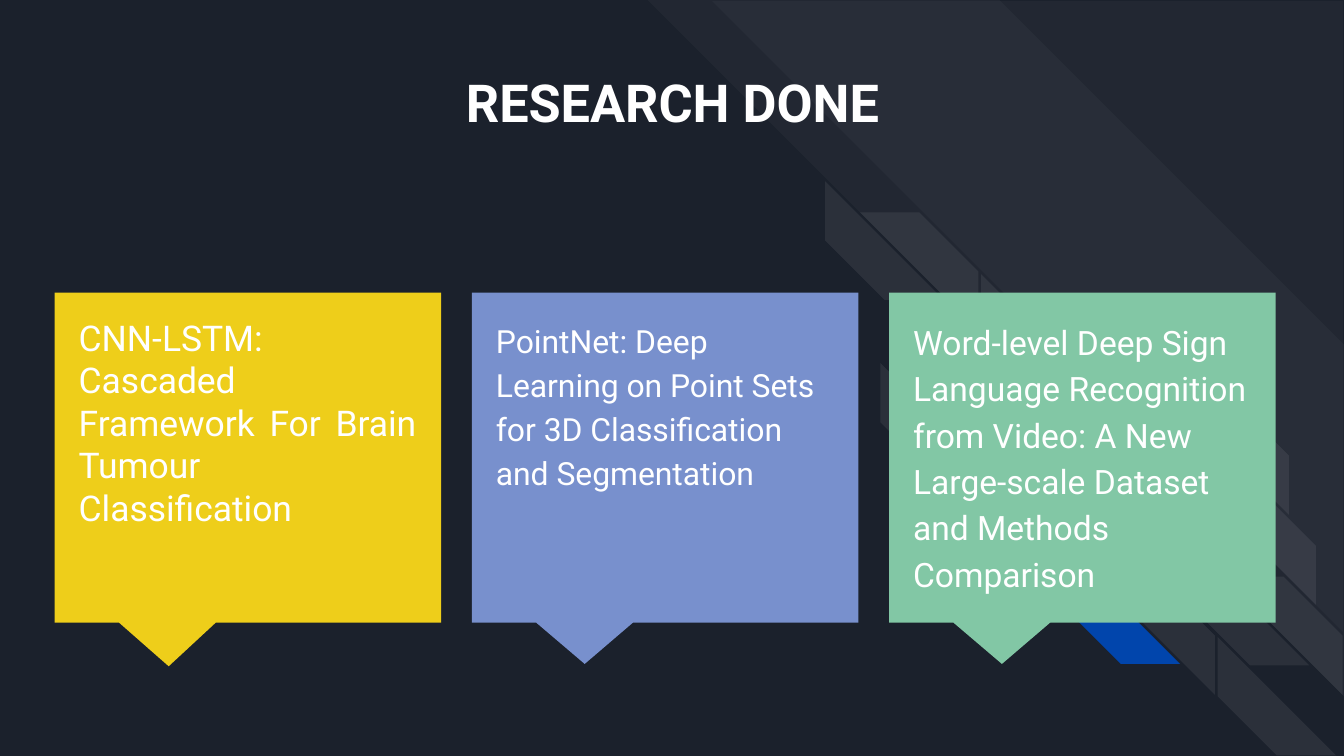
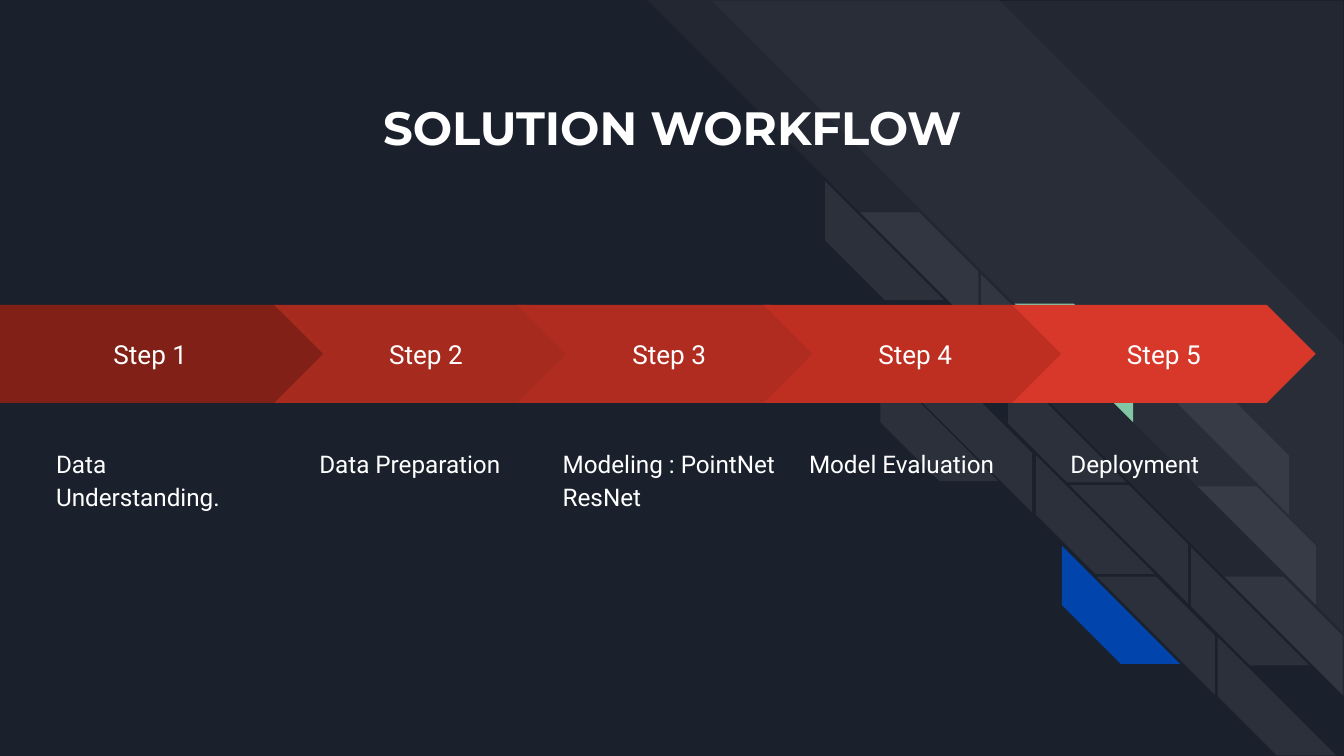
from lxml import etree
from pptx import Presentation
from pptx import util as u
from pptx.dml import color
from pptx.enum import shapes, text
from pptx.oxml import ns

Pt = u.Pt
WHITE, NAVY, GREEN, BLUE = "FFFFFF", "1B212C", "82C7A5", "0145AC"
LEFT, CENTER, JUSTIFY = text.PP_ALIGN.LEFT, text.PP_ALIGN.CENTER, text.PP_ALIGN.JUSTIFY
TOP, MIDDLE = text.MSO_ANCHOR.TOP, text.MSO_ANCHOR.MIDDLE
rgb = color.RGBColor.from_string


def add_block(page, kind, place, fill, adjust, opacity=100):
    """Add a borderless preset shape, opacity in percent."""
    block = page.shapes.add_shape(kind, *[Pt(n) for n in place])
    block.shadow.inherit = False
    block.line.fill.background()
    block.fill.solid()
    block.fill.fore_color.rgb = rgb(fill)
    for index, value in enumerate(adjust):
        block.adjustments[index] = value
    if opacity < 100:
        tint = block.element.find(".//" + ns.qn("a:srgbClr"))
        etree.SubElement(tint, ns.qn("a:alpha"), val=str(opacity * 1000))
    return block


def write(box, lines, size, font="Roboto", bold=False, align=LEFT, anchor=TOP,
          spacing=1.0, before=0):
    """Fill a shape's text frame, one paragraph per line."""
    frame = box.text_frame
    frame.word_wrap = True
    frame.auto_size = text.MSO_AUTO_SIZE.NONE
    frame.vertical_anchor = anchor
    frame.margin_left = frame.margin_right = Pt(7.2)
    frame.margin_top = frame.margin_bottom = Pt(7.2)
    for index, line in enumerate(lines):
        para = frame.add_paragraph() if index else frame.paragraphs[0]
        para.alignment = align
        para.line_spacing = spacing
        para.space_before = Pt(before)
        span = para.add_run()
        span.text = line
        span.font.name = font
        span.font.size = Pt(size)
        span.font.bold = bold
        span.font.color.rgb = rgb(WHITE)


deck = Presentation()
deck.slide_width, deck.slide_height = Pt(720), Pt(405)
title_only = deck.slide_layouts[5]
master = deck.slide_master
master.background.fill.solid()
master.background.fill.fore_color.rgb = rgb(NAVY)

# Slides and titles
titles = [
    ("RESEARCH DONE", (56, 30.2, 608.4, 69.1), 28, "Roboto", TOP),
    ("SOLUTION WORKFLOW", (61, 35.3, 598.3, 64.8), 25, "Montserrat", MIDDLE),
]
for words, place, size, font, anchor in titles:
    page = deck.slides.add_slide(title_only)
    title = page.shapes.title
    title.left, title.top, title.width, title.height = [Pt(n) for n in place]
    write(title, [words], size, font, True, CENTER, anchor)
research, workflow = deck.slides

# Diagonal stripes: left, top, size, rotation (0 means mirrored), bend, fill, opacity
stripes = [
    (347, 0, 373, 90, 0.495, WHITE, 3),
    (381.5, 0.5, 338, 90, 0, WHITE, 3),
]
turned = [(442.1, 97.2), (471.6, 194.4), (525.6, 146.9), (540, 195.1),
          (555.1, 244.1), (568.8, 292.3), (637.9, 293), (652.3, 341.3)]
mirrored = [(460.8, 113.8), (489.6, 211), (543.6, 162.7), (627.1, 212.4),
            (641.5, 260.6), (573.1, 259.9), (587.5, 308.9), (655.9, 308.9)]
accents = {(568.8, 292.3): BLUE, (543.6, 162.7): GREEN}
for angle, corners in ((270, turned), (0, mirrored)):
    for corner in corners:
        opacity = 100 if corner in accents else 7
        stripes.append((*corner, 63.4, angle, 0.5, accents.get(corner, WHITE), opacity))

# The stripes are moved to the master, so that both slides share them
for index, (left, top, side, angle, bend, fill, opacity) in enumerate(stripes):
    stripe = add_block(research, shapes.MSO_SHAPE.DIAGONAL_STRIPE,
                       (left, top, side, side), fill, [bend], opacity)
    stripe.rotation = angle
    if angle == 0:
        stripe.element.spPr.find(ns.qn("a:xfrm")).set("flipH", "1")
    stripe.element.nvSpPr.cNvPr.set("id", str(100 + index))
    master.shapes.element.insert(2 + index, stripe.element)

# Research: three callouts
papers = [
    ("CNN-LSTM: Cascaded Framework For Brain Tumour Classification",
     "EECE1A", (-0.205, 0.632), 19, JUSTIFY, 1.0, 0),
    ("PointNet: Deep Learning on Point Sets for 3D Classification and Segmentation",
     "7890CD", (-0.208, 0.625), 17.1, LEFT, 1.15, 12),
    ("Word-level Deep Sign Language Recognition from Video: "
     "A New Large-scale Dataset and Methods Comparison",
     GREEN, (-0.208, 0.625), 18, LEFT, 1.15, 12),
]
for index, (paper, fill, tail, size, align, spacing, before) in enumerate(papers):
    left = 29.3 + 223.5 * index
    add_block(research, shapes.MSO_SHAPE.RECTANGULAR_CALLOUT,
              (left, 156.8, 207, 176.8), fill, tail)
    box = research.shapes.add_textbox(Pt(left + 5.8), Pt(162), Pt(195.1), Pt(157.7))
    write(box, [paper], size, align=align, spacing=spacing, before=before)

# Workflow: five arrows with a note under each
steps = [
    (0, 174.2, 23, "802017", ["Data Understanding."]),
    (146.9, 162.7, 164, "A72A1E", ["Data Preparation"]),
    (277.2, 162.7, 294.4, "B02C20", ["Modeling : PointNet", "ResNet"]),
    (409, 162.7, 426.4, "BE2F22", ["Model Evaluation"]),
    (542.2, 162.7, 566.4, "D83829", ["Deployment"]),
]
for number, (left, width, note_left, fill, notes) in enumerate(steps, 1):
    kind = shapes.MSO_SHAPE.PENTAGON if number == 1 else shapes.MSO_SHAPE.CHEVRON
    arrow = add_block(workflow, kind, (left, 163.3, width, 52.6), fill, [0.5])
    write(arrow, [f"Step {number}"], 14, align=CENTER, anchor=MIDDLE)
    box = workflow.shapes.add_textbox(Pt(note_left), Pt(231.1), Pt(128), Pt(185))
    write(box, notes, 13, spacing=1.15)

deck.save("out.pptx")
